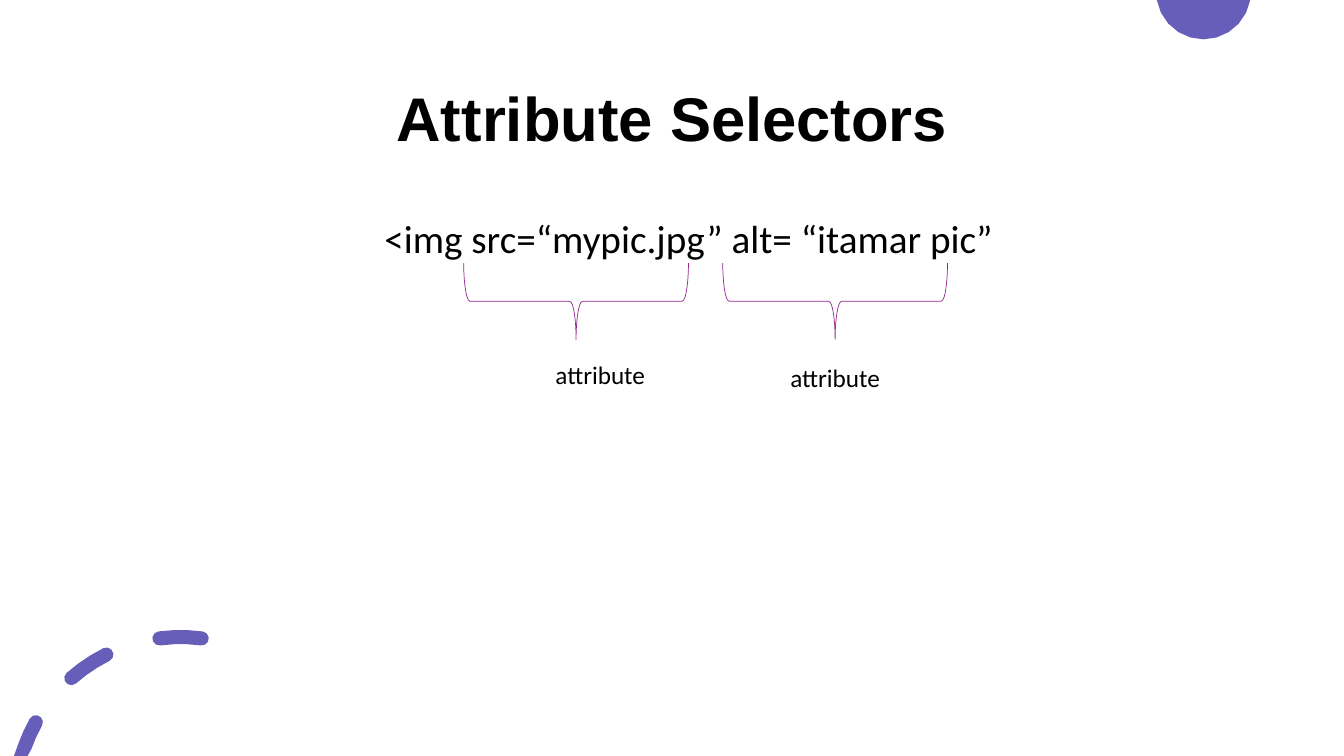
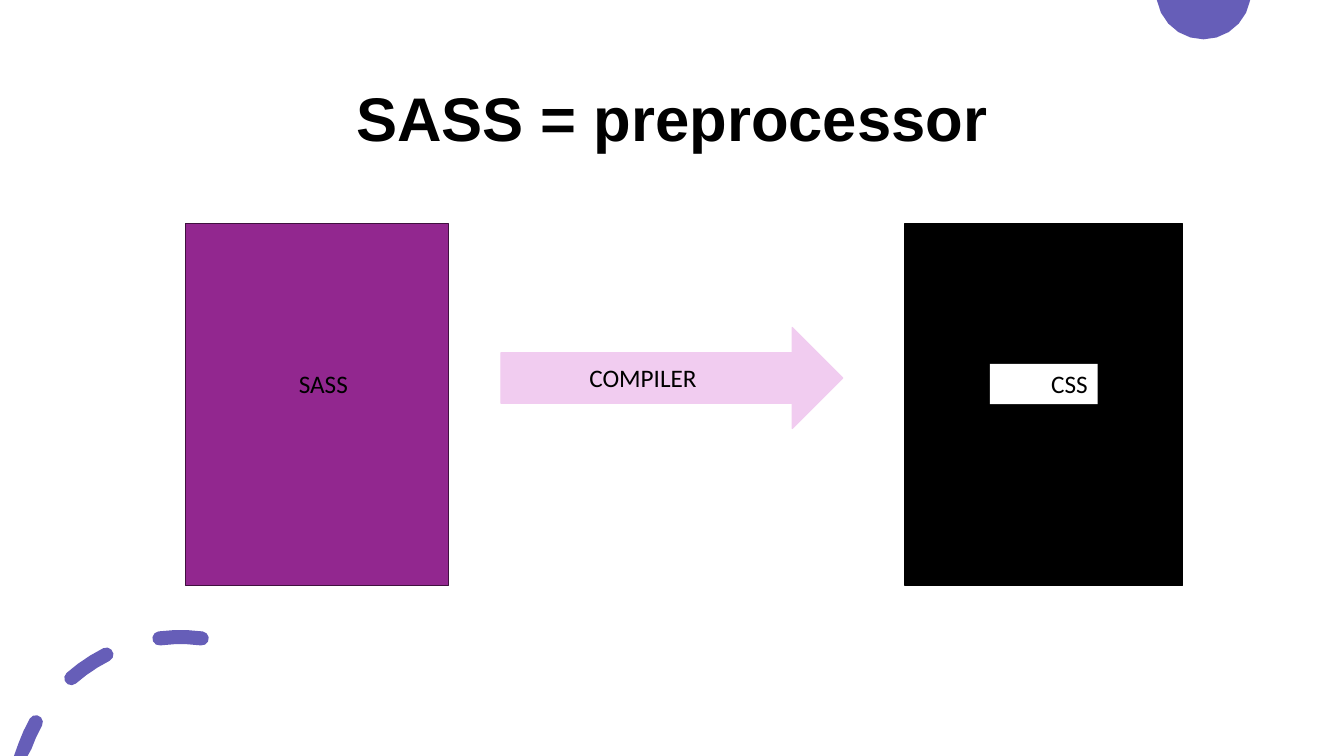
import math

from pptx import Presentation, util as u
from pptx.dml.color import RGBColor
from pptx.enum import shapes, text

PX = u.Inches(1) // 100
HEIGHT = 750
COLORS = {
    "ink": "000000",
    "paper": "FFFFFF",
    "accent": "665EB8",
    "purple": "92278F",
    "plum": "40113F",
    "pink": "F1CCF0",
}
ALIGN = text.PP_ALIGN
SHAPE = shapes.MSO_SHAPE


def px(*values):
    return [round(v * PX) for v in values]


def rgb(name):
    return RGBColor.from_string(COLORS[name])


def style(sp, fill=None, line=None, weight=1):
    sp.shadow.inherit = False
    if fill:
        sp.fill.solid()
        sp.fill.fore_color.rgb = rgb(fill)
    else:
        sp.fill.background()
    if line:
        sp.line.color.rgb = rgb(line)
        sp.line.width = u.Pt(weight)
    else:
        sp.line.fill.background()


def add_shape(s, kind, box, **look):
    sp = s.shapes.add_shape(kind, *px(*box))
    style(sp, **look)
    return sp


def add_text(s, words, box, size=18, font="Calibri", bold=False, align=ALIGN.CENTER,
             anchor=text.MSO_ANCHOR.TOP, spacing=None, fill=None):
    if fill:
        sp = add_shape(s, SHAPE.RECTANGLE, box, fill=fill)
    else:
        sp = s.shapes.add_textbox(*px(*box))
    tf = sp.text_frame
    tf.word_wrap = True
    tf.vertical_anchor = anchor
    p = tf.paragraphs[0]
    p.alignment = align
    p.line_spacing = spacing
    r = p.add_run()
    r.text = words
    r.font.name, r.font.size, r.font.bold = font, u.Pt(size), bold
    r.font.color.rgb = rgb("ink")


def arc(cx, cy, radius, start, end, steps):
    """Points along an arc; degrees run clockwise from the top."""
    angles = [math.radians(start + (end - start) * i / steps) for i in range(steps + 1)]
    return [(cx + radius * math.sin(a), cy - radius * math.cos(a)) for a in angles]


def dash(cx, cy, radius, start, end, half=7):
    """Outline of a thick arc with round ends."""
    tail, tip = arc(cx, cy, radius, start, end, 1)
    return (arc(cx, cy, radius + half, start, end, 3)
            + arc(*tip, half, end, end + 180, 5)[1:-1]
            + arc(cx, cy, radius - half, end, start, 3)
            + arc(*tail, half, start + 180, start + 360, 5)[1:-1])


def add_outline(s, contours):
    """One filled freeform, cut off at the slide's top and bottom."""
    cut = [[px(x, min(max(y, 0), HEIGHT)) for x, y in c] for c in contours]
    builder = s.shapes.build_freeform(*cut[0][0], scale=1.0)
    builder.add_line_segments(cut[0][1:])
    for contour in cut[1:]:
        builder.move_to(*contour[0])
        builder.add_line_segments(contour[1:])
    sp = builder.convert_to_shape()
    style(sp, fill="accent")
    return sp


def decorate(layout, s):
    """Draw the shared ornaments on s, then move them to its layout."""
    for holder in list(layout.placeholders):
        layout.shapes.element.remove(holder.element)
    dot = arc(1194, -8, 47, 100, 260, 10)
    spans = ((-75, -61), (-41.3, -26.6), (-7.3, 7.4))
    dashes = [dash(179, 796, 164, *span) for span in spans]
    for contours in ([dot], dashes):
        layout.shapes.element.append(add_outline(s, contours).element)


def add_title(s, words):
    add_text(s, words, (92, 40, 1150, 145), size=44, font="Arial", bold=True,
             anchor=text.MSO_ANCHOR.MIDDLE, spacing=1.1)


def add_brace(s, x, y, w, h):
    """Brace that opens upward and fills the given box."""
    sp = add_shape(s, SHAPE.RIGHT_BRACE, (x + (w - h) / 2, y + (h - w) / 2, h, w),
                   line="purple", weight=0.5)
    sp.rotation = 90


def attribute_diagram(s, x, y, w, h):
    add_text(s, "<img src=“mypic.jpg” alt= “itamar pic”", (x, y, w, h),
             size=28, spacing=1.18)
    for brace_x, label_x, label_y in ((352, 400, 153), (609, 633, 156)):
        add_brace(s, x + brace_x, y + 62, 223, 76)
        add_text(s, "attribute", (x + label_x, y + label_y, 175, 40))


def compiler_diagram(s, x, y, w, h):
    arrow_x, css_w = x + 313, 275
    css_x = x + w - css_w
    add_shape(s, SHAPE.RECTANGLE, (x, y, 261, h), fill="purple", line="plum")
    add_text(s, "SASS", (x + 25, y + 139, 146, 40), align=ALIGN.RIGHT)
    add_shape(s, SHAPE.RIGHT_ARROW, (arrow_x, y + 103, 339, 100), fill="pink", line="pink")
    add_text(s, "COMPILER", (arrow_x, y + 133, 204, 40), align=ALIGN.RIGHT)
    add_shape(s, SHAPE.RECTANGLE, (css_x, y, css_w, h), fill="ink", line="ink")
    add_text(s, "CSS", (css_x + 84, y + 139, 107, 40), align=ALIGN.RIGHT, fill="paper")


def main():
    prs = Presentation()
    prs.slide_height = HEIGHT * PX
    prs.slide_width = prs.slide_height * 16 // 9
    blank = prs.slide_layouts[6]
    pages = (
        ("Attribute Selectors", attribute_diagram, (108, 199, 1150, 422)),
        ("SASS = preprocessor", compiler_diagram, (184, 222, 989, 359)),
    )
    for number, (title, diagram, box) in enumerate(pages):
        s = prs.slides.add_slide(blank)
        if number == 0:
            decorate(blank, s)
        add_title(s, title)
        diagram(s, *box)
    prs.save("out.pptx")


if __name__ == "__main__":
    main()
